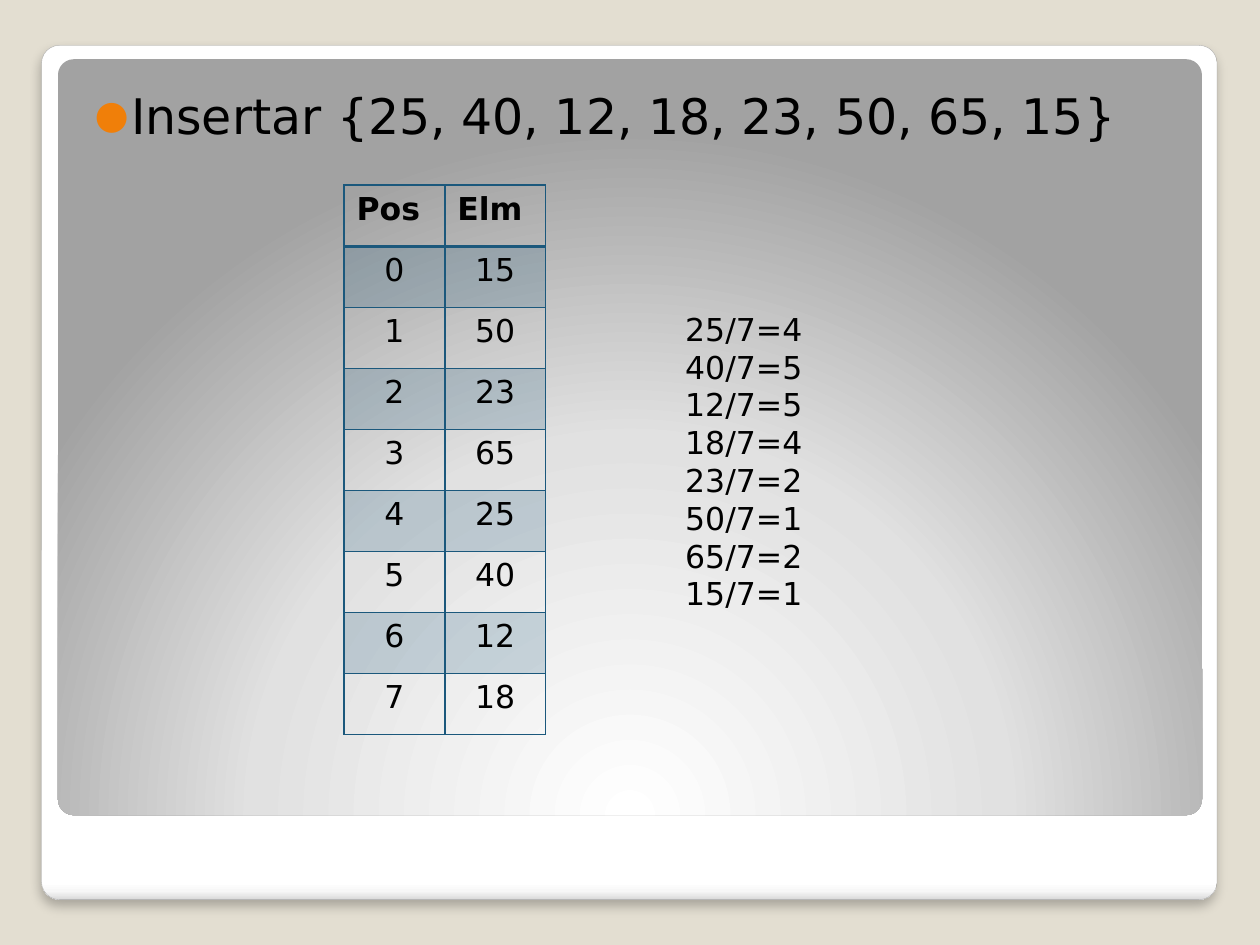
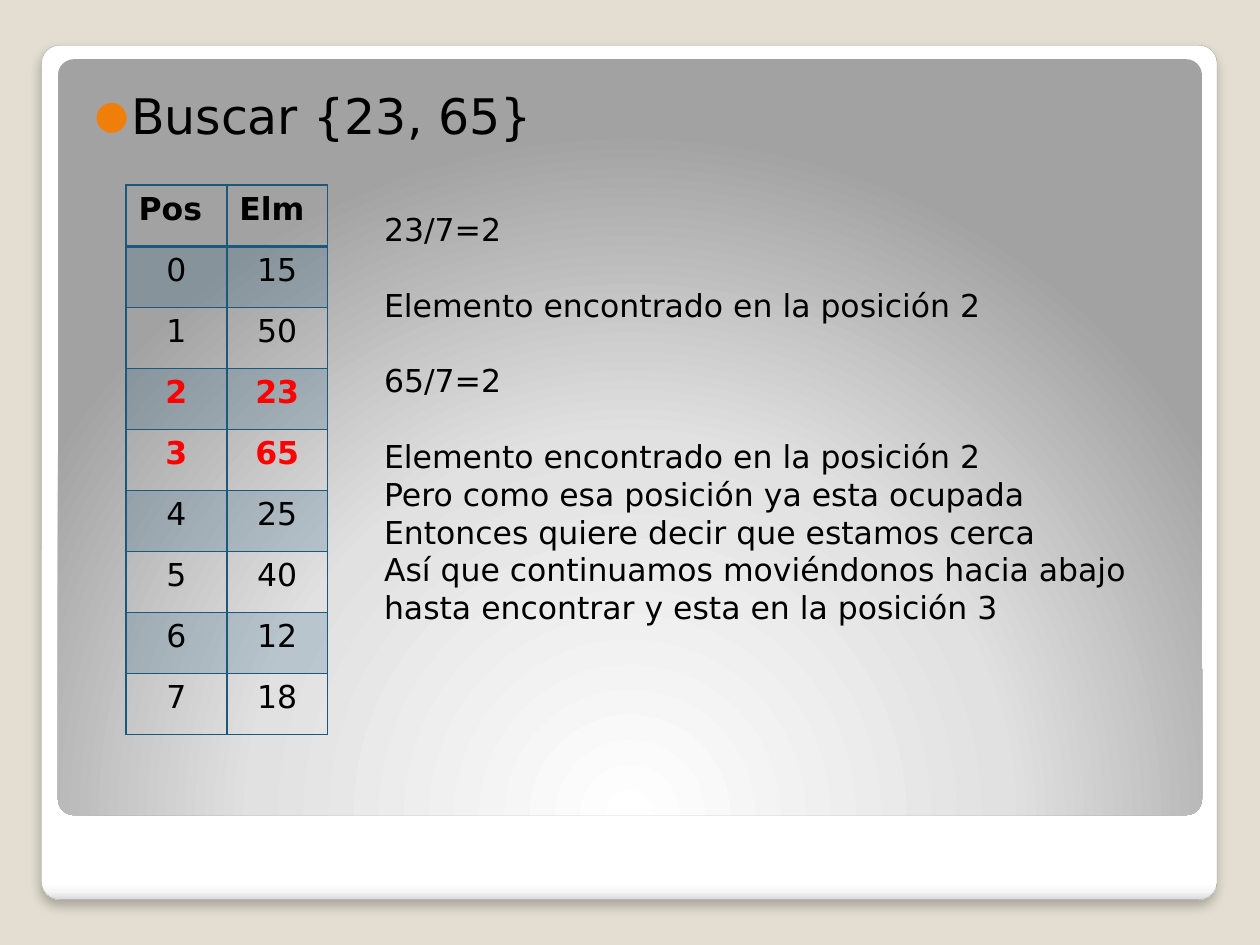
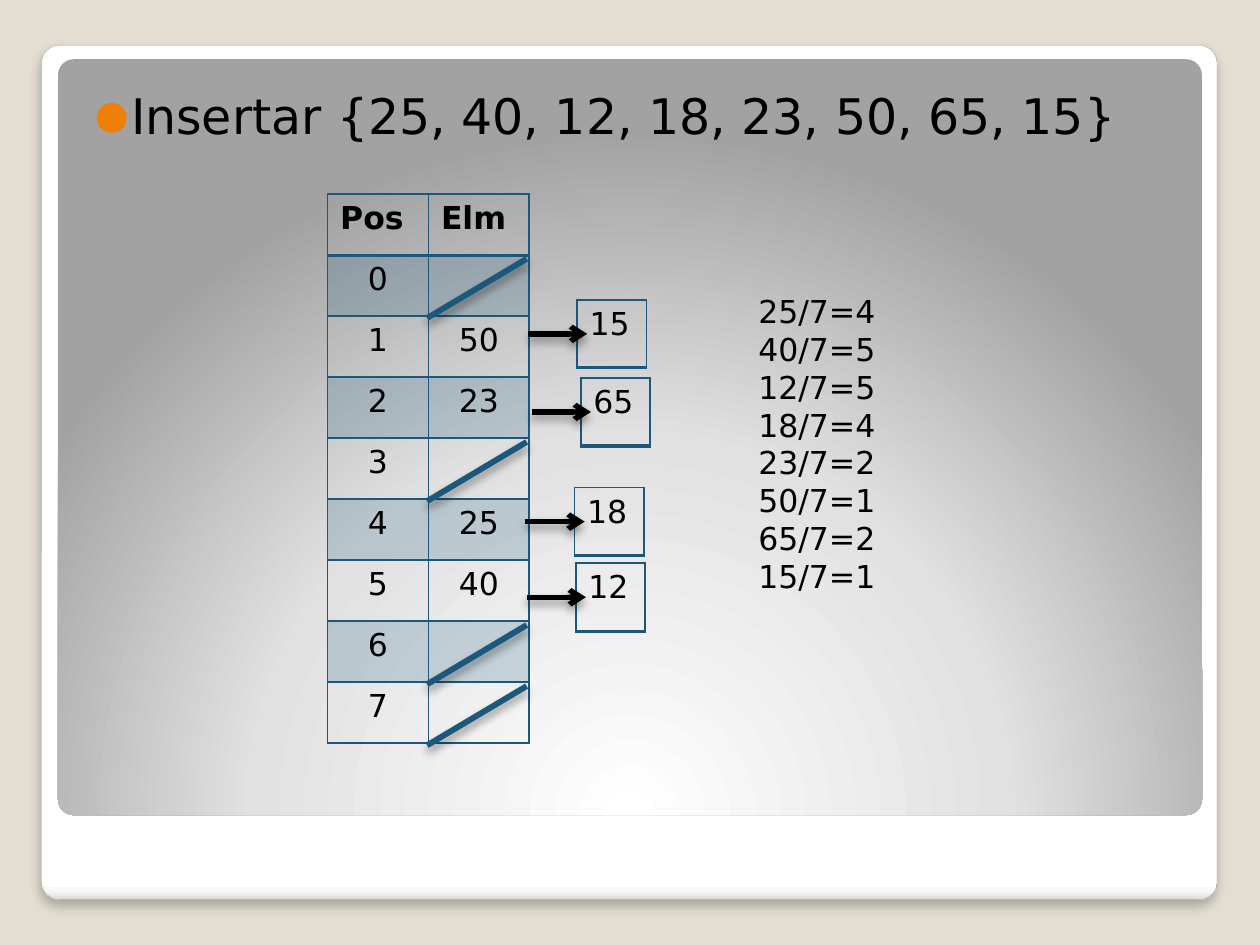
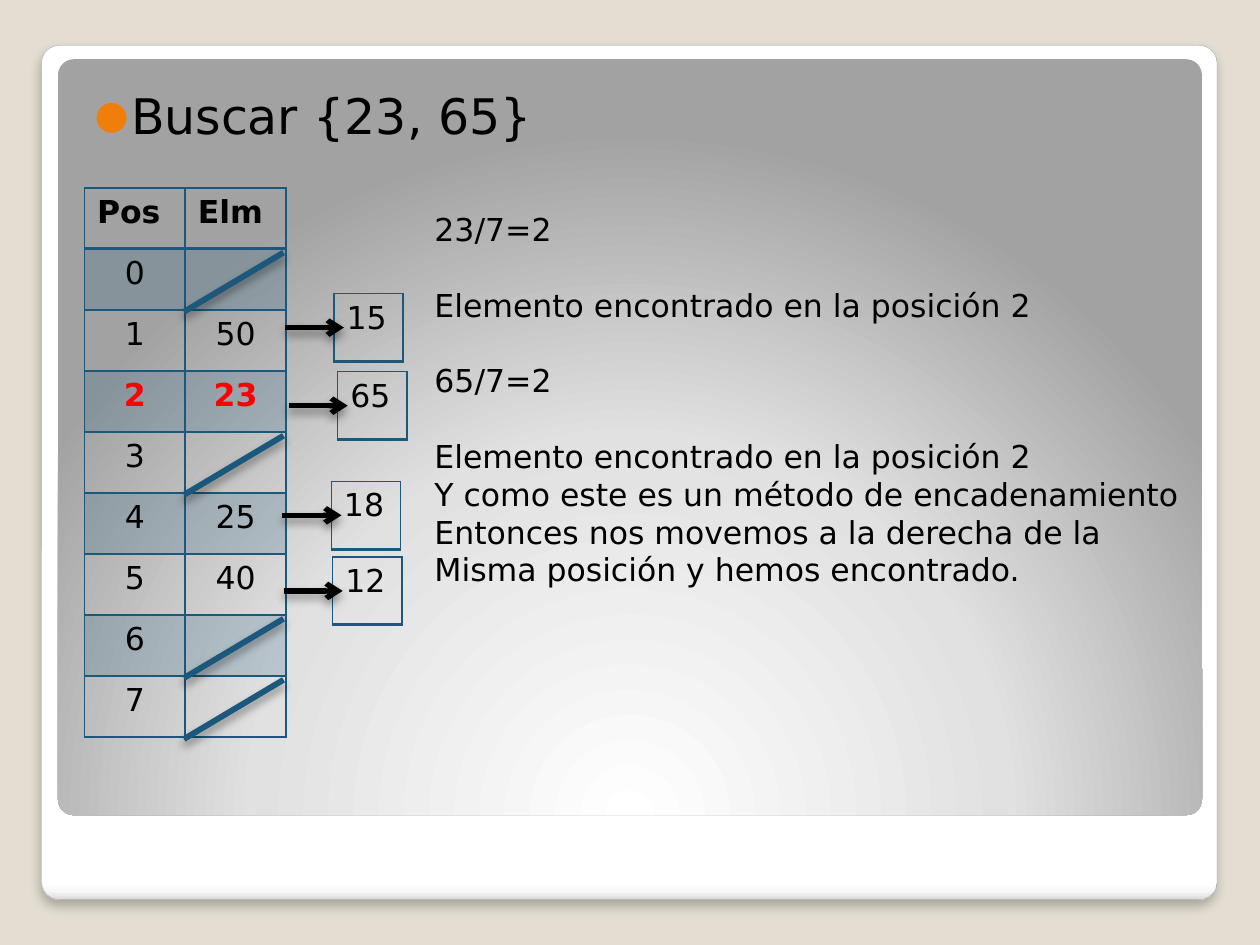
"""Builds four slides on hash tables: linear probing and chaining, each with insertion and search."""
from dataclasses import dataclass

from pptx import Presentation
from pptx.dml.color import RGBColor
from pptx.enum.shapes import MSO_CONNECTOR, MSO_SHAPE
from pptx.enum.text import MSO_AUTO_SIZE as AutoSize, PP_ALIGN as Align
from pptx.oxml import parse_xml
from pptx.oxml.ns import nsdecls, qn
from pptx.util import Inches, Pt


@dataclass(frozen=True)
class Theme:
    """Colours, font and type sizes shared by all slides."""
    page: str = "E3DED1"
    frame_line: str = "A4A4A4"
    accent: str = "1B587C"
    bullet: str = "F07F09"
    ink: str = "000000"
    found: str = "FF0000"
    font: str = "DejaVu Sans"
    title_size: float = 28
    body_size: float = 18
    line_gap: float = 21.6
    band_alpha: int = 20


THEME = Theme()

INSERT_TITLE = "Insertar {25, 40, 12, 18, 23, 50, 65, 15}"
SEARCH_TITLE = "Buscar {23, 65}"
HEADERS = ("Pos", "Elm")
PROBED = ("15", "50", "23", "65", "25", "40", "12", "18")
CHAINED = ("", "50", "23", "", "25", "40", "", "")
REMAINDERS = [["25/7=4", "40/7=5", "12/7=5", "18/7=4",
               "23/7=2", "50/7=1", "65/7=2", "15/7=1"]]
FOUND = "Elemento encontrado en la posición 2"
PROBING_SEARCH = [
    ["23/7=2"], [FOUND], ["65/7=2"],
    [FOUND,
     "Pero como esa posición ya esta ocupada",
     "Entonces quiere decir que estamos cerca",
     "Así que continuamos moviéndonos hacia abajo",
     "hasta encontrar y esta en la posición 3"],
]
CHAINING_SEARCH = [
    ["23/7=2"], [FOUND], ["65/7=2"],
    [FOUND,
     "Y como este es un método de encadenamiento",
     "Entonces nos movemos a la derecha de la",
     "Misma posición y hemos encontrado."],
]
CHAIN_NODES = (("12", 1.97, 2.93), ("18", 1.96, 2.33), ("65", 2.01, 1.46), ("15", 1.98, 0.84))

SLIDES = [
    dict(title=INSERT_TITLE, title_height=0.81, elements=PROBED, table_at=(2.73, 1.47),
         found_rows=(), notes=REMAINDERS, notes_box=(5.34, 2.41, 1.17, 2.52), nodes=()),
    dict(title=SEARCH_TITLE, title_height=0.65, elements=PROBED, table_at=(1, 1.47),
         found_rows=(2, 3), notes=PROBING_SEARCH, notes_box=(2.95, 1.62, 6.14, 3.74), nodes=()),
    dict(title=INSERT_TITLE, title_height=0.57, elements=CHAINED, table_at=(2.6, 1.54),
         found_rows=(), notes=REMAINDERS, notes_box=(5.92, 2.27, 1.17, 2.52), nodes=CHAIN_NODES),
    dict(title=SEARCH_TITLE, title_height=0.73, elements=CHAINED, table_at=(0.67, 1.49),
         found_rows=(2,), notes=CHAINING_SEARCH, notes_box=(3.35, 1.62, 6.16, 3.43),
         nodes=CHAIN_NODES),
]

COLUMN_WIDTH, TABLE_HEIGHT = 0.8, 4.36
ROW_HEIGHT = TABLE_HEIGHT / (len(PROBED) + 1)
NODE_WIDTH, NODE_HEIGHT = 0.55, 0.54
ARROW_LENGTH, ARROW_LEAD = 0.47, 0.39
SLASH_WIDTH, SLASH_HEIGHT, SLASH_DROP = 0.79, 0.47, 0.03

FRAMES = [
    dict(box=(0.33, 0.36, 9.33, 6.78), line=THEME.frame_line, shadow=(25, 6, 4),
         stops=((0, "FFFFFF"), (98, "FFFFFF"), (99, "F7F7F7"), (100, "DADADA")),
         direction='<a:lin ang="5400000" scaled="0"/>'),
    dict(box=(0.46, 0.47, 9.08, 6), line=None, shadow=None,
         stops=((0, "FFFFFF"), (55, "E1E1E1"), (100, "A2A2A2")),
         direction='<a:path path="circle">'
                   '<a:fillToRect l="50000" t="175000" r="50000" b="-75000"/></a:path>'),
]


def drawing(tag, attributes="", inner=""):
    return parse_xml(f'<a:{tag} {nsdecls("a")} {attributes}>{inner}</a:{tag}>')


def color_xml(color, inner=""):
    return f'<a:srgbClr val="{color}">{inner}</a:srgbClr>'


def inches(values):
    return [Inches(value) for value in values]


def set_values(target, **values):
    for name, value in values.items():
        setattr(target, name, value)


def write(paragraph, text, size=THEME.body_size, color=THEME.ink, bold=False):
    run = paragraph.add_run()
    run.text = text
    set_values(run.font, name=THEME.font, size=Pt(size), bold=bold)
    run.font.color.rgb = RGBColor.from_string(color)


def shadow_xml(alpha, blur, distance):
    return drawing("outerShdw", f'blurRad="{Pt(blur)}" dist="{Pt(distance)}" dir="5400000" '
                   'algn="ctr" rotWithShape="0"',
                   color_xml("000000", f'<a:alpha val="{alpha * 1000}"/>'))


def add_frames(slide, layout):
    """Draws the background frames and moves them behind the layout's placeholders."""
    for order, frame in enumerate(FRAMES):
        shape = slide.shapes.add_shape(MSO_SHAPE.ROUNDED_RECTANGLE, *inches(frame["box"]))
        shape.adjustments[0] = 0.021
        stops = "".join(f'<a:gs pos="{position * 1000}">{color_xml(color)}</a:gs>'
                        for position, color in frame["stops"])
        shape.element.spPr.append(drawing(
            "gradFill", 'rotWithShape="1"', f'<a:gsLst>{stops}</a:gsLst>{frame["direction"]}'))
        if frame["line"]:
            shape.line.color.rgb = RGBColor.from_string(frame["line"])
            shape.line.width = Pt(0.16)
        else:
            shape.line.fill.background()
        shape.shadow.inherit = False
        if frame["shadow"]:
            shape.element.spPr.find(qn("a:effectLst")).append(shadow_xml(*frame["shadow"]))
        layout.shapes.element.insert(2 + order, shape.element)


def add_title(slide, text, height):
    slide.shapes.title.element.getparent().remove(slide.shapes.title.element)
    body = slide.placeholders[1]
    left, top, width, height = inches((0.55, 0.58, 8.95, height))
    set_values(body, left=left, top=top, width=width, height=height)
    set_values(body.text_frame, margin_left=Inches(0.2), margin_top=Inches(0.1),
               margin_right=Inches(0.1), margin_bottom=Inches(0.05), auto_size=AutoSize.NONE)
    paragraph = body.text_frame.paragraphs[0]
    write(paragraph, text, THEME.title_size)
    paragraph.space_before = Pt(2.5)
    properties = paragraph._p.get_or_add_pPr()
    properties.set("marL", str(Inches(0.29)))
    properties.set("indent", str(-Inches(0.29)))
    properties.append(drawing("buClr", inner=color_xml(THEME.bullet)))
    properties.append(drawing("buSzPct", 'val="80000"'))
    properties.append(drawing("buFont", f'typeface="{THEME.font}"'))
    properties.append(drawing("buChar", 'char="●"'))


def format_cell(cell, top=1, bottom=1, banded=False):
    properties = cell._tc.get_or_add_tcPr()
    for side, width in (("L", 1), ("R", 1), ("T", top), ("B", bottom)):
        properties.append(drawing(f"ln{side}", f'w="{Pt(width)}"',
                                  f'<a:solidFill>{color_xml(THEME.accent)}</a:solidFill>'))
    if banded:
        cell.fill.solid()
        cell.fill.fore_color.rgb = RGBColor.from_string(THEME.accent)
        color = properties.find(qn("a:solidFill"))[0]
        color.append(drawing("alpha", f'val="{THEME.band_alpha * 1000}"'))
    else:
        cell.fill.background()


def add_hash_table(slide, at, elements, found_rows):
    rows = [HEADERS] + [(str(position), element) for position, element in enumerate(elements)]
    table = slide.shapes.add_table(len(rows), len(HEADERS), *inches(
        (*at, COLUMN_WIDTH * len(HEADERS), TABLE_HEIGHT))).table
    for row_index, values in enumerate(rows):
        header = row_index == 0
        found = row_index - 1 in found_rows
        for column_index, value in enumerate(values):
            cell = table.cell(row_index, column_index)
            format_cell(cell, top=2 if row_index == 1 else 1, bottom=2 if header else 1,
                        banded=row_index % 2 == 1)
            paragraph = cell.text_frame.paragraphs[0]
            if not header:
                paragraph.alignment = Align.CENTER
            if value:
                write(paragraph, value, color=THEME.found if found else THEME.ink,
                      bold=header or found)


def add_line(slide, start, end, color, width, arrow=False):
    connector = slide.shapes.add_connector(MSO_CONNECTOR.STRAIGHT, *inches((*start, *end)))
    connector.line.color.rgb = RGBColor.from_string(color)
    connector.line.width = Pt(width)
    properties = connector.element.spPr
    if arrow:
        properties.find(qn("a:ln")).append(drawing("tailEnd", 'type="arrow"'))
    effects = drawing("effectLst")
    effects.append(shadow_xml(40, 5.2, 3))
    properties.append(effects)


def add_chains(slide, at, elements, nodes):
    """Adds a boxed node with its arrow per collision, and a slash over each empty cell."""
    table_left, table_top = at
    for value, offset_x, offset_y in nodes:
        left, top = table_left + offset_x, table_top + offset_y
        table = slide.shapes.add_table(1, 1, *inches((left, top, NODE_WIDTH, NODE_HEIGHT))).table
        format_cell(table.cell(0, 0), bottom=2)
        write(table.cell(0, 0).text_frame.paragraphs[0], value)
        start, middle = left - ARROW_LEAD, top + NODE_HEIGHT / 2
        add_line(slide, (start, middle), (start + ARROW_LENGTH, middle), THEME.ink, 3, arrow=True)
    for position, element in enumerate(elements):
        if not element:
            top = table_top + ROW_HEIGHT * (position + 1) + SLASH_DROP
            add_line(slide, (table_left + 2 * SLASH_WIDTH, top),
                     (table_left + SLASH_WIDTH, top + SLASH_HEIGHT), THEME.accent, 3.35)


def add_notes(slide, groups, box):
    frame = slide.shapes.add_textbox(*inches(box)).text_frame
    set_values(frame, word_wrap=False, auto_size=AutoSize.SHAPE_TO_FIT_TEXT)
    paragraph = None
    for group in groups:
        for line_index, line in enumerate(group):
            first = paragraph is None
            paragraph = frame.paragraphs[0] if first else frame.add_paragraph()
            if line_index == 0 and not first:
                paragraph.space_before = Pt(THEME.line_gap)
            write(paragraph, line)


def main():
    presentation = Presentation()
    set_values(presentation, slide_width=Inches(10), slide_height=Inches(7.5))
    layout = presentation.slide_layouts[1]
    layout.background.fill.solid()
    layout.background.fill.fore_color.rgb = RGBColor.from_string(THEME.page)
    for index, content in enumerate(SLIDES):
        slide = presentation.slides.add_slide(layout)
        if index == 0:
            add_frames(slide, layout)
        add_title(slide, content["title"], content["title_height"])
        add_hash_table(slide, content["table_at"], content["elements"], content["found_rows"])
        add_notes(slide, content["notes"], content["notes_box"])
        add_chains(slide, content["table_at"], content["elements"], content["nodes"])
    presentation.save("out.pptx")


if __name__ == "__main__":
    main()
